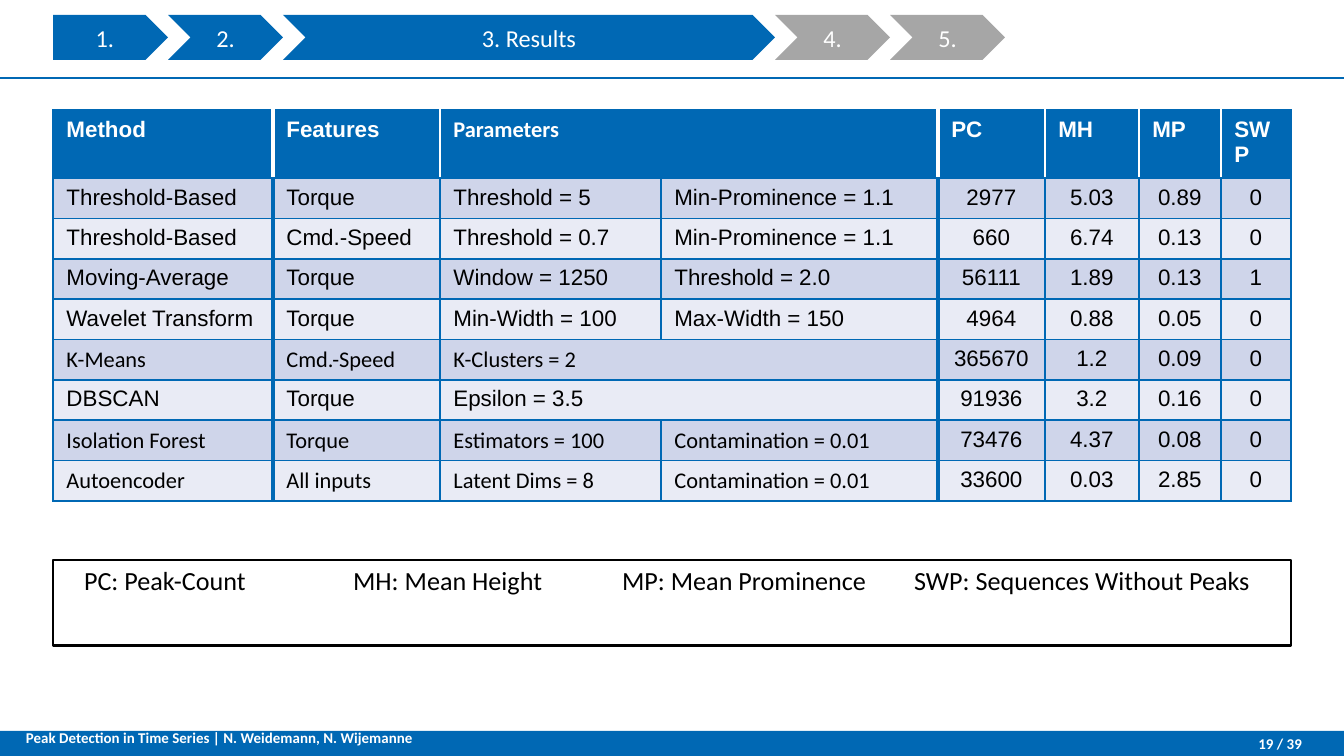
from lxml.etree import SubElement
from pptx import Presentation
from pptx.dml.color import RGBColor
from pptx.enum.shapes import MSO_CONNECTOR as Connector, MSO_SHAPE as Shape
from pptx.enum.text import MSO_ANCHOR as Anchor, PP_ALIGN as Align
from pptx.oxml import parse_xml
from pptx.oxml.ns import nsdecls, qn
from pptx.util import Emu, Pt

BLUE, GREY, WHITE, BLACK = "0068B4", "A6A6A6", "FFFFFF", "000000"
BANDS = ["CFD5EA", "E9EBF5"]
LEFT, WIDTH = 53, 1238

STEPS = [("1.", 115, BLUE), ("2.", 115, BLUE), ("3. Results", 492, BLUE),
         ("4.", 115, GREY), ("5.", 115, GREY)]

# An empty second parameter means that the first spans both columns
HEADER = ["Method", "Features", "Parameters", "", "PC", "MH", "MP", "SWP"]
RESULTS = [
    ["Threshold-Based", "Torque", "Threshold = 5", "Min-Prominence = 1.1", "2977", "5.03", "0.89", "0"],
    ["Threshold-Based", "Cmd.-Speed", "Threshold = 0.7", "Min-Prominence = 1.1", "660", "6.74", "0.13", "0"],
    ["Moving-Average", "Torque", "Window = 1250", "Threshold = 2.0", "56111", "1.89", "0.13", "1"],
    ["Wavelet Transform", "Torque", "Min-Width = 100", "Max-Width = 150", "4964", "0.88", "0.05", "0"],
    ["K-Means", "Cmd.-Speed", "K-Clusters = 2", "", "365670", "1.2", "0.09", "0"],
    ["DBSCAN", "Torque", "Epsilon = 3.5", "", "91936", "3.2", "0.16", "0"],
    ["Isolation Forest", "Torque", "Estimators = 100", "Contamination = 0.01", "73476", "4.37", "0.08", "0"],
    ["Autoencoder", "All inputs", "Latent Dims = 8", "Contamination = 0.01", "33600", "0.03", "2.85", "0"],
]
COLUMNS = [220, 167, 221, 277, 107, 94, 82, 70]
FIRST_PARAMETER, SECOND_PARAMETER = 2, 3
THICK_AFTER = {0, 3}
CALIBRI_METHODS = {"K-Means", "Isolation Forest", "Autoencoder"}

LEGEND = ["PC: Peak-Count", "MH: Mean Height", "MP: Mean Prominence",
          "SWP: Sequences Without Peaks"]
LEGEND_TABS = [269, 538, 830]


def px(length):
    return Emu(round(length * 914400 / 134.4))


def rgb(value):
    return RGBColor.from_string(value)


def write(frame, text, size=12, font="Calibri", color=WHITE, bold=False,
          align=Align.LEFT, tabs=()):
    para = frame.paragraphs[0]
    para.alignment = align
    if tabs:
        stops = SubElement(para._p.get_or_add_pPr(), qn("a:tabLst"))
        for stop in tabs:
            SubElement(stops, qn("a:tab"), pos=str(px(stop)), algn="l")
    span = para.add_run()
    span.text = text
    span.font.size = Pt(size)
    span.font.name = font
    span.font.bold = bold
    span.font.color.rgb = rgb(color)
    return para


def add_box(shapes, kind, left, top, width, height, fill=None, line=None):
    box = shapes.add_shape(kind, px(left), px(top), px(width), px(height))
    box.shadow.inherit = False
    if fill:
        box.fill.solid()
        box.fill.fore_color.rgb = rgb(fill)
    else:
        box.fill.background()
    if line:
        box.line.color.rgb = rgb(line)
        box.line.width = Pt(1.5)
    else:
        box.line.fill.background()
    return box


def add_label(page, left, top, width, height, text, align, anchor, margins):
    box = page.shapes.add_textbox(px(left), px(top), px(width), px(height))
    frame = box.text_frame
    frame.word_wrap = True
    frame.vertical_anchor = anchor
    (frame.margin_left, frame.margin_top,
     frame.margin_right, frame.margin_bottom) = map(px, margins)
    write(frame, text, size=8, bold=True, align=align)


def add_rule(page, y):
    rule = page.shapes.add_connector(Connector.STRAIGHT, px(1344), px(y), px(0), px(y))
    rule.line.color.rgb = rgb(BLUE)
    rule.line.width = Pt(1.5)
    SubElement(rule._element.spPr, qn("a:effectLst"))


def add_steps(page):
    group = page.shapes.add_group_shape()
    left = LEFT
    for index, (text, width, fill) in enumerate(STEPS):
        kind = Shape.CHEVRON if index else Shape.PENTAGON
        step = add_box(group.shapes, kind, left, 15, width, 45, fill)
        step.text_frame.vertical_anchor = Anchor.MIDDLE
        write(step.text_frame, text, size=13, align=Align.CENTER)
        left += width


def set_borders(cell, row, column):
    """Blue grid, white between header cells, thick beside the parameter block."""
    last = len(COLUMNS) - 1
    inner = WHITE if row == 0 else BLUE
    edges = [
        ("lnL", inner if column > 0 else BLUE, 2.25 if column - 1 in THICK_AFTER else 1),
        ("lnR", inner if column < last else BLUE, 2.25 if column in THICK_AFTER else 1),
        ("lnT", BLUE, 1),
        ("lnB", BLUE, 1),
    ]
    properties = cell._tc.get_or_add_tcPr()
    for position, (tag, color, width) in enumerate(edges):
        properties.insert(position, parse_xml(
            f'<a:{tag} {nsdecls("a")} w="{Pt(width)}"><a:solidFill>'
            f'<a:srgbClr val="{color}"/></a:solidFill></a:{tag}>'))


def cell_font(row, column, method):
    if row == 0:
        return "Calibri" if column == FIRST_PARAMETER else "Arial"
    is_text = column <= SECOND_PARAMETER
    return "Calibri" if is_text and method in CALIBRI_METHODS else "Arial"


def add_results(page):
    rows = [HEADER] + RESULTS
    frame = page.shapes.add_table(len(rows), len(COLUMNS), px(LEFT), px(110),
                                  px(WIDTH), px(391))
    table = frame.table
    table.first_row = table.horz_banding = False
    for column, width in zip(table.columns, COLUMNS):
        column.width = px(width)
    for index, row in enumerate(table.rows):
        row.height = px(323 / len(RESULTS)) if index else px(68)

    for r, values in enumerate(rows):
        if not values[SECOND_PARAMETER]:
            table.cell(r, FIRST_PARAMETER).merge(table.cell(r, SECOND_PARAMETER))
        for c, text in enumerate(values):
            cell = table.cell(r, c)
            cell.fill.solid()
            cell.fill.fore_color.rgb = rgb(BANDS[(r - 1) % 2] if r else BLUE)
            set_borders(cell, r, c)
            if text:
                centred = r > 0 and c > SECOND_PARAMETER
                write(cell.text_frame, text, font=cell_font(r, c, values[0]),
                      color=BLACK if r else WHITE, bold=r == 0,
                      align=Align.CENTER if centred else Align.LEFT)


def add_legend(page):
    box = add_box(page.shapes, Shape.RECTANGLE, LEFT, 560, WIDTH, 86, line=BLACK)
    frame = box.text_frame
    frame.word_wrap = True
    frame.vertical_anchor = Anchor.TOP
    frame.margin_left = px(31)
    para = write(frame, "\t".join(LEGEND), size=14, color=BLACK, tabs=LEGEND_TABS)
    para.line_spacing = 0.95


def main():
    deck = Presentation()
    deck.slide_width, deck.slide_height = px(1344), px(756)
    page = deck.slides.add_slide(deck.slide_layouts[6])

    # Footer bar and header navigation
    add_box(page.shapes, Shape.RECTANGLE, 0, 731, 1344, 25, BLUE)
    add_rule(page, 78)
    add_steps(page)
    add_label(page, 13, 720, 583, 46,
              "Peak Detection in Time Series | N. Weidemann, N. Wijemanne",
              Align.LEFT, Anchor.TOP, (13, 13, 13, 13))
    add_label(page, 1176, 731, 126, 25, "19 / 39",
              Align.RIGHT, Anchor.MIDDLE, (13, 7, 0, 7))

    # Results with the key to their abbreviations
    add_results(page)
    add_legend(page)

    deck.save("out.pptx")


if __name__ == "__main__":
    main()
